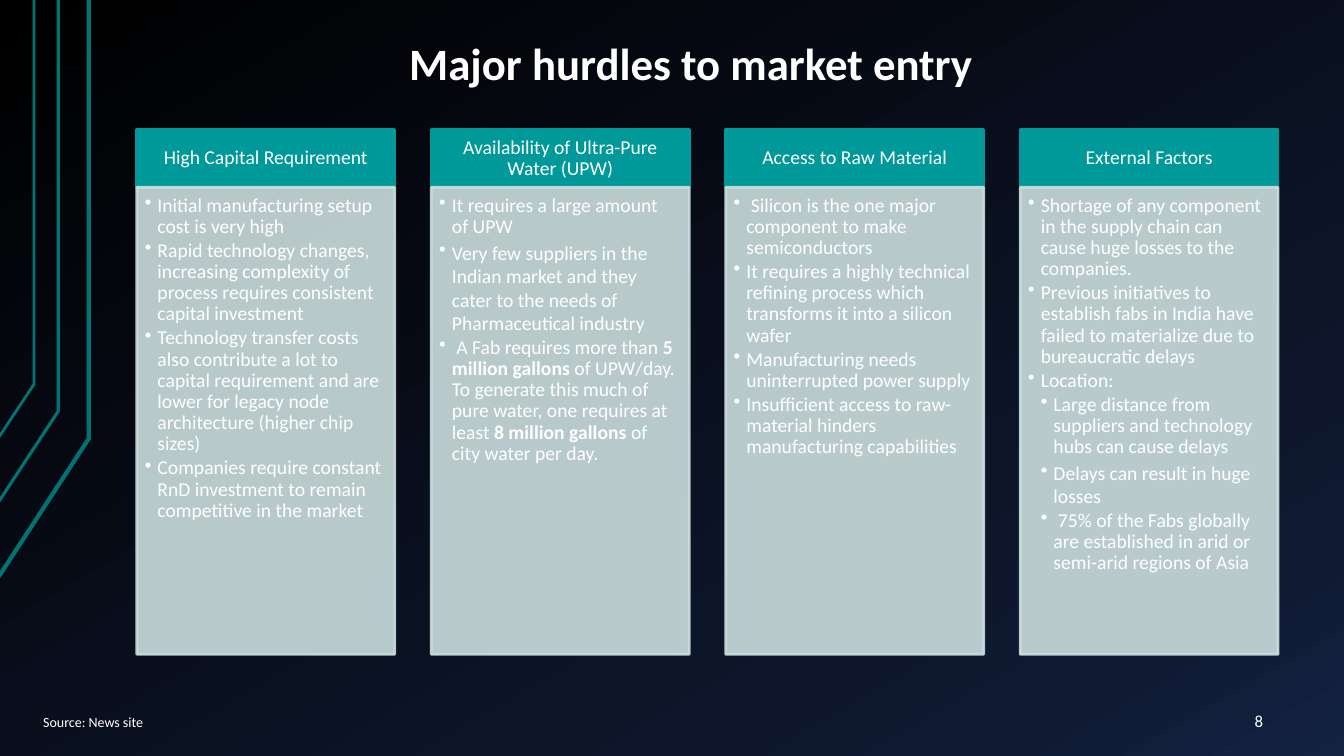
"""Build the slide on the major hurdles to market entry."""
from lxml import etree
from pptx import Presentation
from pptx.dml.color import RGBColor
from pptx.enum.shapes import MSO_SHAPE
from pptx.enum.text import MSO_ANCHOR, PP_ALIGN
from pptx.oxml.ns import qn
from pptx.util import Cm, Pt

RECTANGLE = MSO_SHAPE.RECTANGLE
TOP, MIDDLE = MSO_ANCHOR.TOP, MSO_ANCHOR.MIDDLE
LEFT, CENTER, RIGHT = PP_ALIGN.LEFT, PP_ALIGN.CENTER, PP_ALIGN.RIGHT
WHITE, TEAL, DARK_TEAL, PALE_TEAL = "FFFFFF", "009999", "007373", "CCDEDE"

BACKGROUND_STOPS = [(0, "000000"), (85, "0F1931"), (100, "142242")]
CIRCUIT_LINES = [
    (3, [(-0.03, 14.53), (2.24, 11.05), (2.24, 0)]),
    (2.25, [(-0.05, 12.67), (1.47, 10.36), (1.47, 0)]),
    (2, [(-0.03, 11.02), (0.86, 9.68), (0.86, 0)]),
]
HURDLES = [
    ("High Capital Requirement", [
        (0, 0.9, "Initial manufacturing setup cost is very high"),
        (0, 0.9, "Rapid technology changes, increasing complexity of process "
                 "requires consistent capital investment"),
        (0, 0.9, "Technology transfer costs also contribute a lot to capital requirement "
                 "and are lower for legacy node architecture (higher chip sizes)"),
        (0, 0.9, "Companies require constant RnD investment to remain competitive in the market"),
    ]),
    ("Availability of Ultra-Pure Water (UPW)", [
        (0, 0.9, "It requires a large amount of UPW"),
        (0, 1.0, "Very few suppliers in the Indian market and they cater to the needs "
                 "of Pharmaceutical industry"),
        (0, 0.9, "\u00a0A Fab requires more than\u00a0**5 million gallons**\u00a0of UPW/day. "
                 "To\u00a0generate this much of pure water, one requires at least "
                 "**8 million gallons** of city water per day."),
    ]),
    ("Access to Raw Material", [
        (0, 0.9, "\u00a0Silicon is the one major component to make semiconductors"),
        (0, 0.9, "It requires a highly technical refining process which transforms it "
                 "into a silicon wafer"),
        (0, 0.9, "Manufacturing needs uninterrupted power supply"),
        (0, 0.9, "Insufficient access to raw-material hinders manufacturing capabilities"),
    ]),
    ("External Factors", [
        (0, 0.9, "Shortage of any component in the supply chain\u00a0can cause huge losses "
                 "to the companies."),
        (0, 0.9, "Previous initiatives to establish fabs in India have failed to materialize "
                 "due to bureaucratic delays"),
        (0, 0.9, "Location:"),
        (1, 0.9, "Large distance from suppliers and technology hubs can cause delays"),
        (1, 1.0, "Delays can result in huge losses"),
        (1, 0.9, "\u00a075% of the Fabs globally are established in arid or semi-arid "
                 "regions of Asia"),
    ]),
]


def paint(fill, color):
    """Make a fill solid in a hex colour."""
    fill.solid()
    fill.fore_color.rgb = RGBColor.from_string(color)


def format_text(shape, size, alignment, anchor, margins):
    """Format the frame and every run of a shape in white Calibri."""
    frame = shape.text_frame
    frame.word_wrap = True
    frame.vertical_anchor = anchor
    frame.margin_left, frame.margin_top, frame.margin_right, frame.margin_bottom = map(Cm, margins)
    for paragraph in frame.paragraphs:
        paragraph.alignment = alignment
        for run in paragraph.runs:
            run.font.name = "Calibri"
            run.font.size = Pt(size)
            paint(run.font.fill, WHITE)


presentation = Presentation()
presentation.slide_width, presentation.slide_height = Cm(33.87), Cm(19.05)
slide = presentation.slides.add_slide(presentation.slide_layouts[5])
shapes = slide.shapes

background = slide.background.fill
background.gradient()
background.gradient_angle = 300
stop_list = next(slide.element.iter(qn("a:gsLst")))
for stop in list(stop_list):
    stop_list.remove(stop)
for position, color in BACKGROUND_STOPS:
    stop = etree.SubElement(stop_list, qn("a:gs"), pos=str(position * 1000))
    etree.SubElement(stop, qn("a:srgbClr"), val=color)

for width, points in CIRCUIT_LINES:
    start, *corners = [(Cm(x), Cm(y)) for x, y in points]
    builder = shapes.build_freeform(*start)
    builder.add_line_segments(corners, close=False)
    circuit = builder.convert_to_shape()
    circuit.shadow.inherit = False
    circuit.fill.background()
    paint(circuit.line.fill, DARK_TEAL)
    circuit.line.width = Pt(width)

title = shapes.title
title.left, title.top, title.width, title.height = Cm(9.07), Cm(0.76), Cm(16.69), Cm(1.63)
title.text_frame.text = "Major hurdles to market entry"
format_text(title, 32, CENTER, MIDDLE, (0.25, 0.13, 0.25, 0.13))
title.text_frame.paragraphs[0].runs[0].font.bold = True

for column, (heading, points) in enumerate(HURDLES):
    left = Cm(3.45 + 7.42 * column)
    header = shapes.add_shape(RECTANGLE, left, Cm(3.26), Cm(6.5), Cm(1.46))
    panel = shapes.add_shape(RECTANGLE, left, Cm(4.72), Cm(6.5), Cm(11.77))
    for box, color in ((header, TEAL), (panel, PALE_TEAL)):
        box.shadow.inherit = False
        paint(box.fill, color)
        paint(box.line.fill, color)
        box.line.width = Pt(2)
    for color in panel.element.spPr.iter(qn("a:srgbClr")):
        etree.SubElement(color, qn("a:alpha"), val="90000")

    header.text_frame.text = heading
    header.text_frame.paragraphs[0].line_spacing = 0.9
    format_text(header, 14, CENTER, MIDDLE, (0.28, 0.16, 0.28, 0.16))

    panel.text_frame.text = "\n".join(text for level, spacing, text in points)
    for paragraph, (level, spacing, text) in zip(panel.text_frame.paragraphs, points):
        paragraph.text = ""
        for index, part in enumerate(text.split("**")):
            run = paragraph.add_run()
            run.text = part
            run.font.bold = index % 2 == 1
        paragraph.level = level
        paragraph.line_spacing = spacing
        paragraph.space_after = Pt(2)
        properties = paragraph._p.get_or_add_pPr()
        properties.set("marL", str(Cm(0.32 * (level + 1))))
        properties.set("indent", str(-Cm(0.32)))
        etree.SubElement(properties, qn("a:buChar"), char="•")
    format_text(panel, 14, LEFT, TOP, (0.2, 0.2, 0.28, 0.3))

slide_number = shapes.add_textbox(Cm(29.34), Cm(17.65), Cm(2.82), Cm(1.02))
slide_number.text_frame.text = "8"
format_text(slide_number, 12, RIGHT, MIDDLE, (0.33, 0.18, 0.33, 0.18))

source = shapes.add_textbox(Cm(0.84), Cm(17.86), Cm(3.63), Cm(0.69))
source.text_frame.text = "Source:\u00a0News site"
format_text(source, 10, LEFT, TOP, (0.25, 0.13, 0.25, 0.13))

presentation.save("out.pptx")
